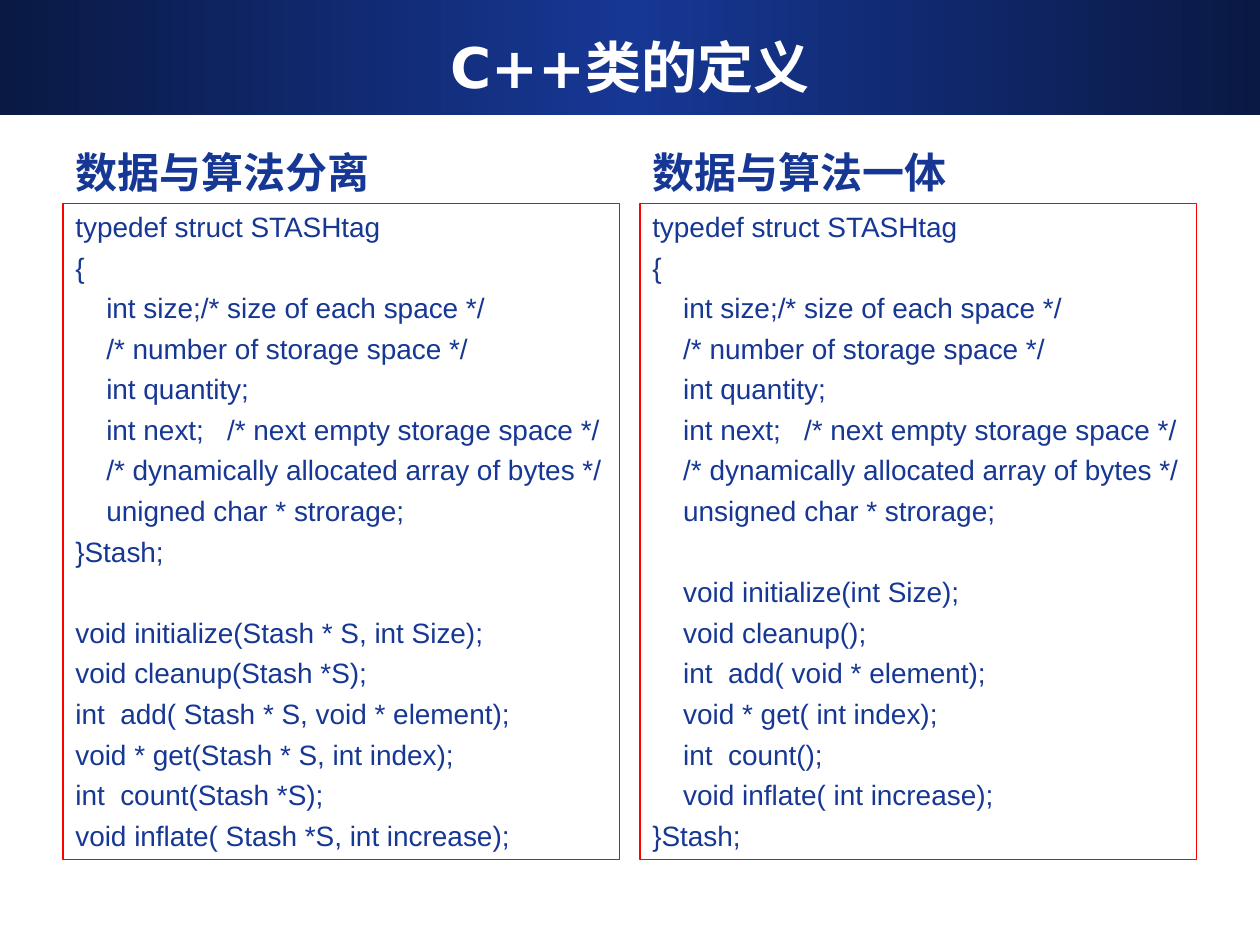
from copy import deepcopy

from pptx import Presentation
from pptx import util as u
from pptx.dml.color import RGBColor
from pptx.enum import shapes, text
from pptx.oxml.ns import qn

MEMBERS = """typedef struct STASHtag
{{
    int size;/* size of each space */
    /* number of storage space */
    int quantity;
    int next;   /* next empty storage space */
    /* dynamically allocated array of bytes */
    {} char * strorage;"""

SEPARATE = MEMBERS.format("unigned") + """
}Stash;

void initialize(Stash * S, int Size);
void cleanup(Stash *S);
int  add( Stash * S, void * element);
void * get(Stash * S, int index);
int  count(Stash *S);
void inflate( Stash *S, int increase);"""

COMBINED = MEMBERS.format("unsigned") + """

    void initialize(int Size);
    void cleanup();
    int  add( void * element);
    void * get( int index);
    int  count();
    void inflate( int increase);
}Stash;"""


def color(value):
    return RGBColor.from_string(value)


class ComparisonSlide:
    """Holds the style and the slide, and draws its elements."""

    blue, navy, red, white = "163794", "0A1944", "FF0000", "FFFFFF"
    column_width = u.Cm(11.22)
    code_gap, code_line = 4, 23.2

    def __init__(self, presentation):
        self.slide = presentation.slides.add_slide(presentation.slide_layouts[5])
        self.width = presentation.slide_width

    def format_runs(self, paragraph, size, name, value, bold=False):
        for run in paragraph.runs:
            run.font.size = u.Pt(size)
            run.font.name = name
            run.font.bold = bold
            run.font.color.rgb = color(value)

    def title(self, words):
        title = self.slide.shapes.title
        title.left, title.top = u.Cm(1.27), u.Cm(0.15)
        title.width, title.height = u.Cm(22.86), u.Cm(2.36)
        frame = title.text_frame
        frame.text = words
        frame.auto_size = text.MSO_AUTO_SIZE.NONE
        frame.vertical_anchor = text.MSO_ANCHOR.MIDDLE
        frame.paragraphs[0].alignment = text.PP_ALIGN.CENTER
        self.format_runs(frame.paragraphs[0], 32, "DejaVu Sans", self.white, True)

    def band(self):
        band = self.slide.shapes.add_shape(
            shapes.MSO_SHAPE.RECTANGLE, 0, 0, self.width, u.Cm(2.32))
        band.shadow.inherit = False
        band.line.fill.background()
        band.fill.gradient()
        band.fill.gradient_angle = 0
        stop_list = band.element.spPr.find(qn("a:gradFill")).find(qn("a:gsLst"))
        stop_list.append(deepcopy(stop_list[0]))
        stops = zip(band.fill.gradient_stops, (0, 0.5, 1), (self.navy, self.blue, self.navy))
        for stop, position, value in stops:
            stop.position = position
            stop.color.rgb = color(value)
        self.slide.shapes.title.element.addprevious(band.element)

    def heading(self, left, words):
        box = self.slide.shapes.add_textbox(left, u.Cm(2.31), self.column_width, u.Cm(1.78))
        frame = box.text_frame
        frame.word_wrap = True
        frame.vertical_anchor = text.MSO_ANCHOR.BOTTOM
        frame.text = words
        self.format_runs(frame.paragraphs[0], 24, "Arial", self.blue, True)

    def code(self, left, source):
        box = self.slide.shapes.add_shape(
            shapes.MSO_SHAPE.RECTANGLE, left, u.Cm(4.1), self.column_width, u.Cm(13.23))
        box.shadow.inherit = False
        box.fill.background()
        box.line.color.rgb = color(self.red)
        box.line.width = u.Pt(0.75)
        frame = box.text_frame
        frame.word_wrap = True
        frame.vertical_anchor = text.MSO_ANCHOR.TOP
        gap = 0
        paragraph = frame.paragraphs[0]
        for line in source.split("\n"):
            if not line:
                gap += self.code_line
                continue
            if paragraph.text:
                paragraph = frame.add_paragraph()
            paragraph.text = line
            paragraph.alignment = text.PP_ALIGN.LEFT
            paragraph.space_before = u.Pt(gap)
            self.format_runs(paragraph, 16, "Arial", self.blue)
            gap = self.code_gap


def main():
    presentation = Presentation()
    presentation.slide_width, presentation.slide_height = u.Cm(25.4), u.Cm(19.05)
    comparison = ComparisonSlide(presentation)
    comparison.title("C++类的定义")
    comparison.band()
    columns = ((1.27, "数据与算法分离", SEPARATE), (12.9, "数据与算法一体", COMBINED))
    for left, words, source in columns:
        comparison.heading(u.Cm(left), words)
        comparison.code(u.Cm(left), source)
    presentation.save("out.pptx")


if __name__ == "__main__":
    main()
